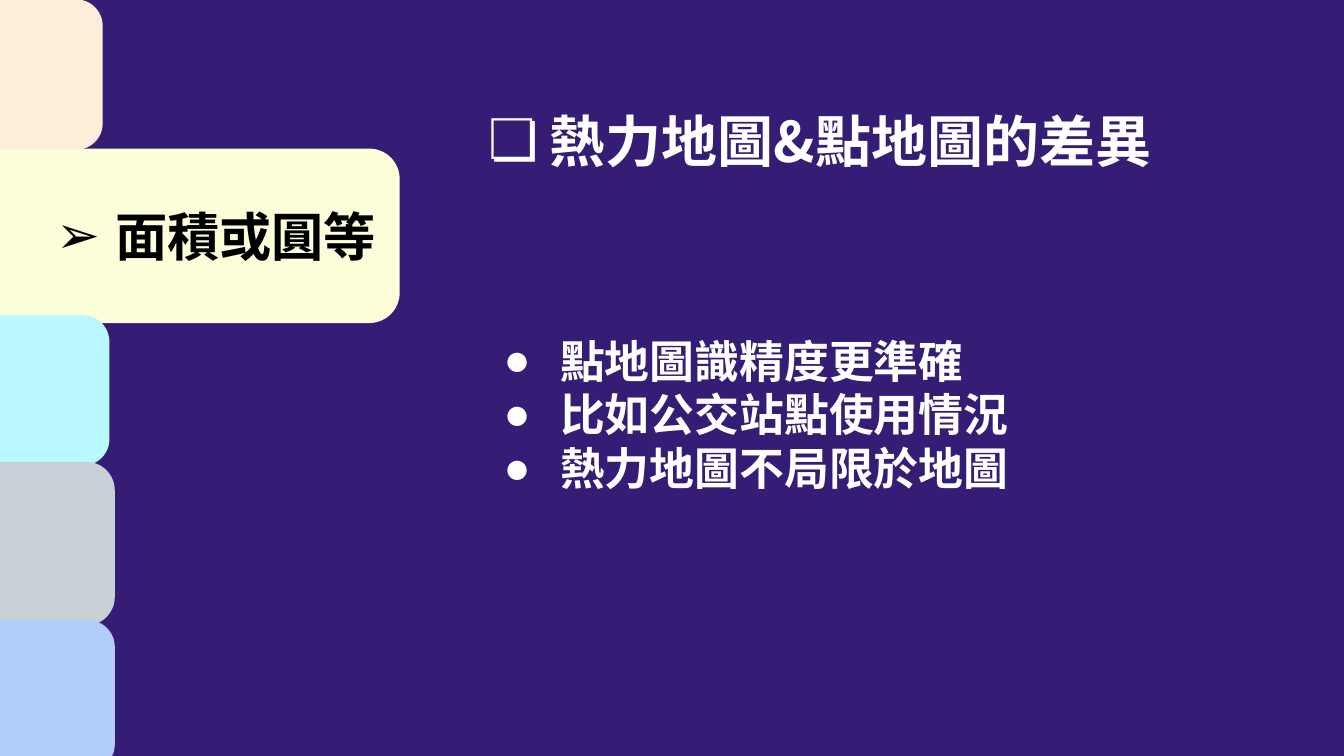
from dataclasses import dataclass

from lxml import etree
from pptx import Presentation
from pptx import util as u
from pptx.dml.color import RGBColor
from pptx.enum import shapes, text
from pptx.oxml.ns import qn

SLIDE_WIDTH = u.Inches(10)
SLIDE_HEIGHT = u.Emu(SLIDE_WIDTH * 9 // 16)
COLUMNS = 100
ROWS = COLUMNS * 9 / 16  # square grid cells


@dataclass(frozen=True)
class Theme:
    background: str = "351C75"
    light: str = "FFFFFF"
    dark: str = "000000"
    peach: str = "FEEDD8"
    cream: str = "FBFED9"
    cyan: str = "BAF8FF"
    grey: str = "C8D2D6"
    blue: str = "B1CDFB"
    base_font: str = "Arial"
    title_font: str = "Noto Sans CJK TC"
    title_size: int = 30
    label_size: int = 28
    body_size: int = 24


THEME = Theme()


def place(left, top, width, height):
    """Turn grid columns and rows into slide lengths."""
    column, row = SLIDE_WIDTH / COLUMNS, SLIDE_HEIGHT / ROWS
    return [round(n) for n in (left * column, top * row, width * column, height * row)]


def add_tab(slide, box, color):
    tab = slide.shapes.add_shape(shapes.MSO_SHAPE.ROUNDED_RECTANGLE, *place(*box))
    tab.shadow.inherit = False
    tab.fill.solid()
    tab.fill.fore_color.rgb = RGBColor.from_string(color)
    tab.line.color.rgb = RGBColor.from_string(color)
    tab.line.width = u.Pt(2)
    return tab


def add_bullet(paragraph, mark, color, hanging):
    properties = paragraph._p.get_or_add_pPr()
    properties.set("marL", str(u.Inches(0.5)))
    properties.set("indent", str(-u.Inches(hanging)))
    bullet_color = etree.SubElement(properties, qn("a:buClr"))
    etree.SubElement(bullet_color, qn("a:srgbClr"), val=color)
    etree.SubElement(properties, qn("a:buFont"), typeface=THEME.base_font)
    etree.SubElement(properties, qn("a:buChar"), char=mark)


def write_bullets(shape, lines, mark, size, color, hanging,
                  font=THEME.base_font, align=text.PP_ALIGN.LEFT,
                  anchor=text.MSO_ANCHOR.MIDDLE, inset=0.1):
    frame = shape.text_frame
    frame.word_wrap = True
    frame.vertical_anchor = anchor
    frame.margin_left = frame.margin_right = u.Inches(0.1)
    frame.margin_top = frame.margin_bottom = u.Inches(inset)
    frame.text = "\n".join(lines)
    for paragraph in frame.paragraphs:
        paragraph.alignment = align
        add_bullet(paragraph, mark, color, hanging)
        for run in paragraph.runs:
            run.font.name = font
            run.font.size = u.Pt(size)
            run.font.bold = True
            run.font.color.rgb = RGBColor.from_string(color)
            etree.SubElement(run.font._element, qn("a:ea"), typeface=font)


def add_tabs(slide):
    add_tab(slide, (-28.9, 0.1, 36.4, 10.9), THEME.peach)
    label = add_tab(slide, (-18.5, 11.2, 48.1, 12.7), THEME.cream)
    write_bullets(label, ["面積或圓等"], "➢", THEME.label_size, THEME.dark, 0.44,
                  align=text.PP_ALIGN.RIGHT, inset=0.05)
    for left, top, height, color in (
        (-28.4, 23.6, 10.9, THEME.cyan),
        (-28, 34.5, 11.9, THEME.grey),
        (-28, 46.3, 10.9, THEME.blue),
    ):
        add_tab(slide, (left, top, 36.4, height), color)


def add_title(slide):
    title = slide.shapes.add_textbox(*place(29.6, 6.5, 62.4, 7.9))
    write_bullets(title, ["熱力地圖&點地圖的差異"], "❏", THEME.title_size, THEME.light,
                  0.46, font=THEME.title_font, align=text.PP_ALIGN.CENTER)


def add_points(slide):
    points = slide.shapes.add_textbox(*place(35.7, 23.8, 44.6, 14.1))
    lines = ["點地圖識精度更準確", "比如公交站點使用情況", "熱力地圖不局限於地圖"]
    write_bullets(points, lines, "●", THEME.body_size, THEME.light, 0.42,
                  anchor=text.MSO_ANCHOR.TOP)
    points.text_frame.auto_size = text.MSO_AUTO_SIZE.SHAPE_TO_FIT_TEXT


def main():
    presentation = Presentation()
    presentation.slide_width, presentation.slide_height = SLIDE_WIDTH, SLIDE_HEIGHT
    slide = presentation.slides.add_slide(presentation.slide_layouts[6])
    slide.background.fill.solid()
    slide.background.fill.fore_color.rgb = RGBColor.from_string(THEME.background)
    add_tabs(slide)
    add_title(slide)
    add_points(slide)
    presentation.save("out.pptx")


if __name__ == "__main__":
    main()
